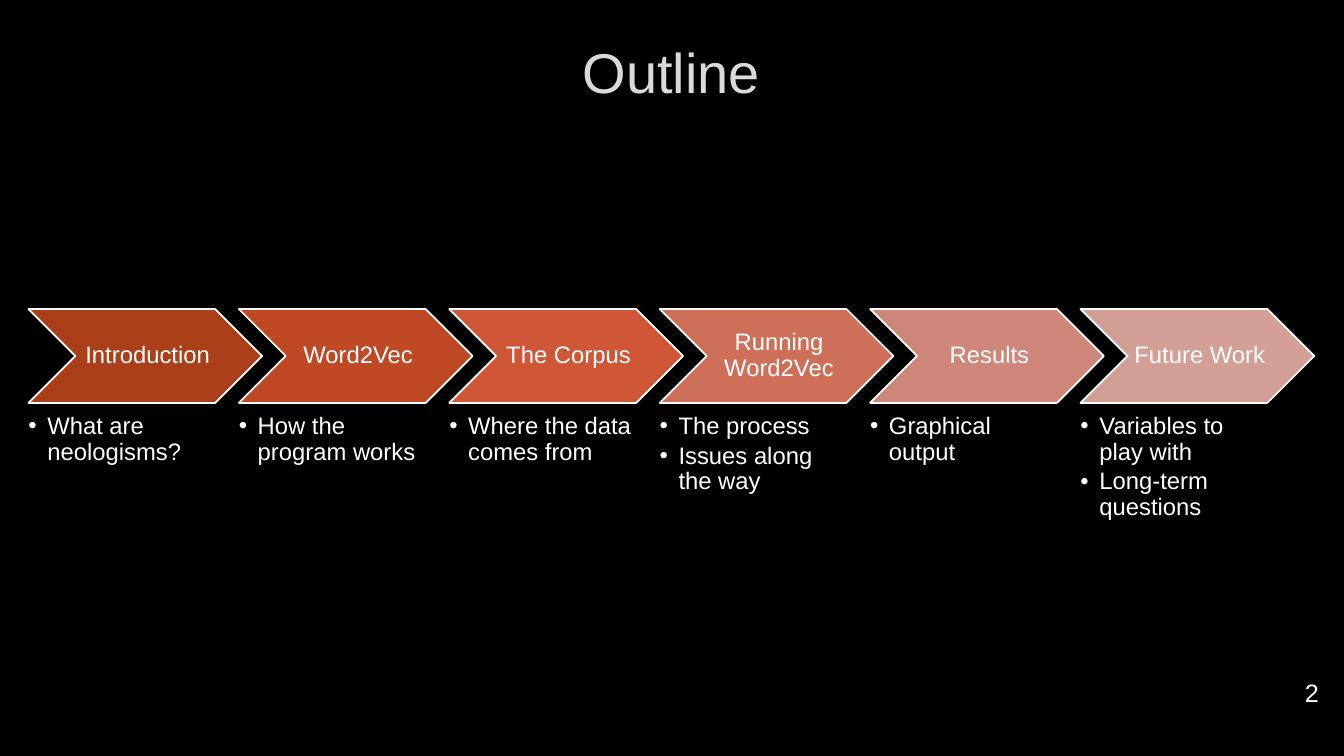
from collections import namedtuple
from lxml import etree
from pptx import Presentation
from pptx import util as u
from pptx.dml.color import RGBColor
from pptx.enum import shapes, text
from pptx.oxml.ns import qn

Box = namedtuple("Box", "left top width height")


class Theme:
    font = "Arial"
    back, ink, head = "000000", "FFFFFF", "DADADA"
    steps = ["AB3F19", "C04925", "CF5738", "CE6F5A", "CF877B", "D3A098"]
    title, body, page = 40, 17, 18
    lines, after, indent, edge = 0.9, 2.7, 13.5, 1.25


STEPS = [
    ("Introduction", ["What are neologisms?"]),
    ("Word2Vec", ["How the program works"]),
    ("The Corpus", ["Where the data comes from"]),
    ("Running Word2Vec", ["The process", "Issues along the way"]),
    ("Results", ["Graphical output"]),
    ("Future Work", ["Variables to play with", "Long-term questions"]),
]


def rgb(code):
    return RGBColor.from_string(code)


def apply(item, form):
    """Set every attribute of item that form names."""
    for name, value in form.items():
        setattr(item, name, value)


def place(box):
    return [u.Pt(n) for n in box]


def bullet(para):
    props = para._p.get_or_add_pPr()
    props.set("marL", str(u.Pt(Theme.indent)))
    props.set("indent", str(-u.Pt(Theme.indent)))
    etree.SubElement(props, qn("a:buFont")).set("typeface", Theme.font)
    etree.SubElement(props, qn("a:buChar")).set("char", "•")


def write(parent, box, lines, size, color=Theme.ink, frame=None, para=None, dots=False):
    """Add a text box with one paragraph for each line."""
    body = parent.add_textbox(*place(box)).text_frame
    apply(body, {"word_wrap": True, **(frame or {})})
    for i, line in enumerate(lines):
        item = body.add_paragraph() if i else body.paragraphs[0]
        apply(item, para or {})
        if dots:
            bullet(item)
        run = item.add_run()
        run.text = line
        apply(run.font, {"name": Theme.font, "size": u.Pt(size)})
        run.font.color.rgb = rgb(color)


def margins(left, rest):
    form = {f"margin_{side}": u.Pt(rest) for side in ("top", "right", "bottom")}
    return {"margin_left": u.Pt(left), **form}


def title(slide, box):
    write(slide.shapes, box, ["Outline"], Theme.title, Theme.head,
          {"vertical_anchor": text.MSO_ANCHOR.MIDDLE},
          {"alignment": text.PP_ALIGN.CENTER})


def step(parent, box, fill, label, notes):
    """Draw one chevron with its label, and its notes below."""
    tall = 67
    arrow = parent.add_shape(shapes.MSO_SHAPE.CHEVRON,
                             *place(box._replace(height=tall)))
    arrow.shadow.inherit = False
    arrow.fill.solid()
    arrow.fill.fore_color.rgb = rgb(fill)
    arrow.line.color.rgb = rgb(Theme.ink)
    arrow.line.width = u.Pt(Theme.edge)

    para = {"line_spacing": Theme.lines, "space_after": u.Pt(Theme.after)}
    inner = Box(box.left + tall / 2, box.top, box.width - tall, tall)
    write(parent, inner, [label], Theme.body,
          frame={"vertical_anchor": text.MSO_ANCHOR.MIDDLE, **margins(5, 1.5)},
          para={**para, "alignment": text.PP_ALIGN.CENTER})

    drop = 75
    below = Box(box.left, box.top + drop, box.width * 0.8, box.height - drop)
    write(parent, below, notes, Theme.body, frame=margins(0, 0), para=para, dots=True)


def process(slide, box):
    """Spread the steps over the box, each overlapping the next by a tenth."""
    group = slide.shapes.add_group_shape().shapes
    wide = box.width / (1 + 0.9 * (len(STEPS) - 1))
    for i, (fill, (label, notes)) in enumerate(zip(Theme.steps, STEPS)):
        cell = Box(box.left + i * 0.9 * wide, box.top, wide, box.height)
        step(group, cell, fill, label, notes)


def number(slide, box):
    write(slide.shapes, box, ["2"], Theme.page)


def main():
    deck = Presentation()
    apply(deck, {"slide_width": u.Pt(960), "slide_height": u.Pt(540)})
    slide = deck.slides.add_slide(deck.slide_layouts[6])
    slide.background.fill.solid()
    slide.background.fill.fore_color.rgb = rgb(Theme.back)
    title(slide, Box(72, 13, 815, 76))
    process(slide, Box(20.3, 220.8, 918.5, 149))
    number(slide, Box(925, 480, 34, 29))
    deck.save("out.pptx")


if __name__ == "__main__":
    main()
